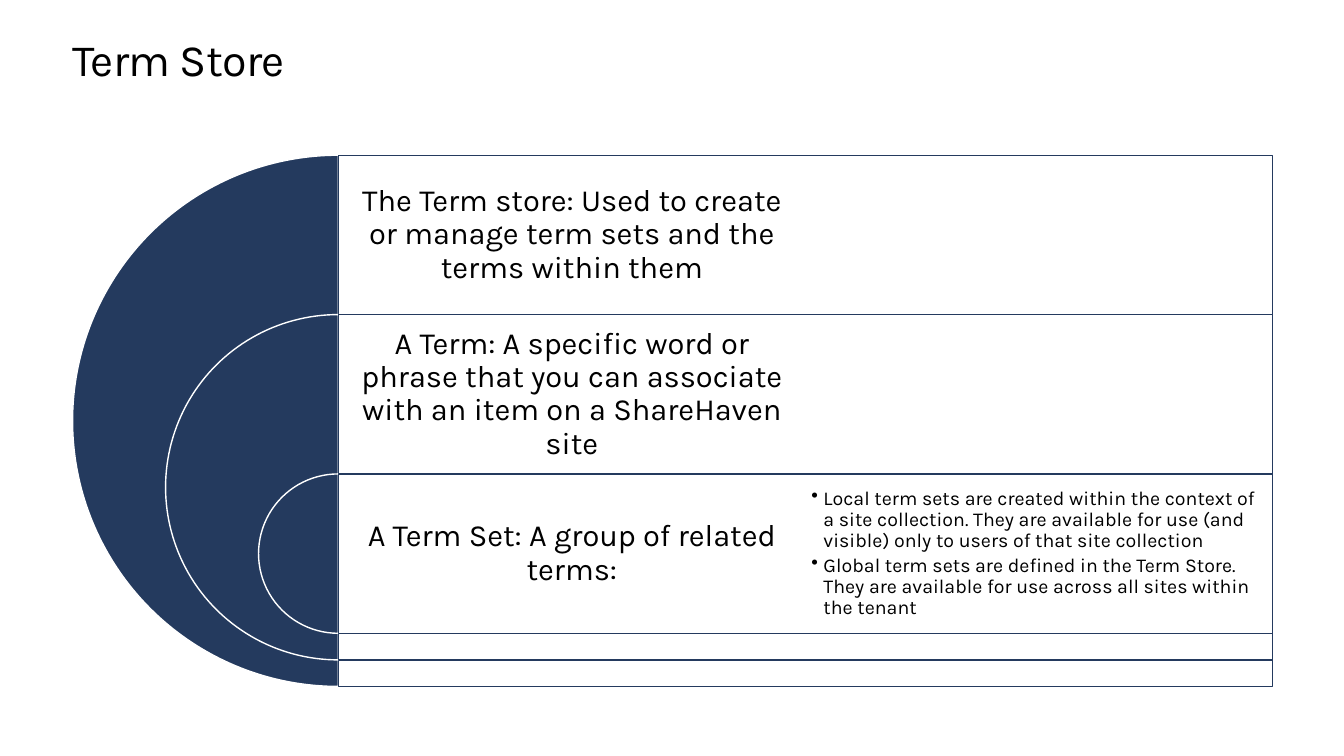
import lxml.etree
import pptx
import pptx.dml.color
import pptx.enum.shapes
import pptx.enum.text
import pptx.oxml.ns
import pptx.util

Inches, Pt = pptx.util.Inches, pptx.util.Pt
SHAPE = pptx.enum.shapes.MSO_SHAPE
ALIGN = pptx.enum.text.PP_ALIGN
ANCHOR = pptx.enum.text.MSO_ANCHOR
qn = pptx.oxml.ns.qn

COLORS = {"navy": "243A5E", "white": "FFFFFF", "text": "000000"}
FONT = "Karla"
SLIDE_WIDTH, SLIDE_HEIGHT = 13.33, 7.5
MARGIN, CONTENT_WIDTH = 0.72, 11.9
ROW_SHARE = 0.3   # height of a row as a share of the largest ring
RING_STEP = 0.35  # what each ring loses, as a share of the largest ring

ROWS = [
    ("The Term store: Used to create or manage term sets and the terms within them", []),
    ("A Term: A specific word or phrase that you can associate with an item on a ShareHaven site", []),
    ("A Term Set: A group of related terms:", [
        "Local term sets are created within the context of a site collection. "
        "They are available for use (and visible) only to users of that site collection",
        "Global term sets are defined in the Term Store. "
        "They are available for use across all sites within the tenant",
    ]),
]
HEADING = {"alignment": ALIGN.CENTER, "line_spacing": 0.9}
BULLET = {"level": 1, "line_spacing": 0.9, "space_after": Pt(2.5)}


def rgb(name):
    return pptx.dml.color.RGBColor.from_string(COLORS[name])


def set_values(target, values):
    for name, value in values.items():
        setattr(target, name, value)


def write_text(frame, texts, size, formats, inset, anchor=ANCHOR.MIDDLE):
    set_values(frame, {"word_wrap": True, "vertical_anchor": anchor})
    set_values(frame, {f"margin_{side}": Inches(inset)
                       for side in ("left", "top", "right", "bottom")})
    for index, text in enumerate(texts):
        paragraph = frame.add_paragraph() if index else frame.paragraphs[0]
        set_values(paragraph, formats)
        run = paragraph.add_run()
        run.text = text
        set_values(run.font, {"name": FONT, "size": Pt(size)})
        run.font.color.rgb = rgb("text")


def add_bullets(frame, indent):
    for paragraph in frame.paragraphs:
        properties = paragraph._p.get_or_add_pPr()
        properties.set("marL", str(Inches(indent)))
        properties.set("indent", str(-Inches(indent)))
        lxml.etree.SubElement(properties, qn("a:buChar")).set("char", "•")


def add_shape(shapes, kind, box, fill, line):
    shape = shapes.add_shape(kind, *map(Inches, box))
    shape.shadow.inherit = False
    shape.fill.solid()
    shape.fill.fore_color.rgb = rgb(fill)
    shape.line.color.rgb = rgb(line)
    shape.line.width = Pt(1)
    return shape


def add_title(slide, left, top, width, height):
    title = slide.shapes.title
    set_values(title, {"left": Inches(left), "top": Inches(top),
                       "width": Inches(width), "height": Inches(height)})
    title.fill.solid()
    title.fill.fore_color.rgb = rgb("white")
    write_text(title.text_frame, ["Term Store"], 32,
               {"alignment": ALIGN.LEFT, "line_spacing": Pt(36.2)}, 0, ANCHOR.TOP)
    title.text_frame.auto_size = pptx.enum.text.MSO_AUTO_SIZE.SHAPE_TO_FIT_TEXT
    title.text_frame.paragraphs[0].runs[0].font._element.set("spc", "-50")


def add_nested_rings(slide, left, top, width, height):
    """Half rings sharing a right edge, each with a frame and a row of text."""
    shapes = slide.shapes.add_group_shape().shapes
    center = left + height / 2
    frame_width = width - height / 2
    row_height, column_width = ROW_SHARE * height, frame_width / 2
    for index, (heading, bullets) in enumerate(ROWS):
        row_top = top + index * row_height
        size = height * (1 - RING_STEP * index)

        ring = add_shape(shapes, SHAPE.PIE, (center - size / 2, row_top, size, size),
                         "navy", "white")
        ring.adjustments[0], ring.adjustments[1] = 54, 162  # 90 to 270 degrees

        frame = add_shape(shapes, SHAPE.RECTANGLE, (center, row_top, frame_width, size),
                          "white", "navy")
        color = frame._element.spPr.find(qn("a:solidFill"))[0]
        lxml.etree.SubElement(color, qn("a:alpha")).set("val", "90000")

        columns = [([heading], 22, HEADING, 0.09), (bullets, 14, BULLET, 0.06)]
        for column, (texts, font_size, formats, inset) in enumerate(columns):
            if not texts:
                continue
            box = (center + column * column_width, row_top, column_width, row_height)
            text_box = shapes.add_textbox(*map(Inches, box))
            write_text(text_box.text_frame, texts, font_size, formats, inset)
            if formats is BULLET:
                add_bullets(text_box.text_frame, 0.12)


def main():
    presentation = pptx.Presentation()
    presentation.slide_width = Inches(SLIDE_WIDTH)
    presentation.slide_height = Inches(SLIDE_HEIGHT)
    slide = presentation.slides.add_slide(presentation.slide_layouts[5])
    add_title(slide, MARGIN, 0.35, CONTENT_WIDTH, 0.5)
    add_nested_rings(slide, MARGIN, 1.54, CONTENT_WIDTH, 5.27)
    presentation.save("out.pptx")


if __name__ == "__main__":
    main()
